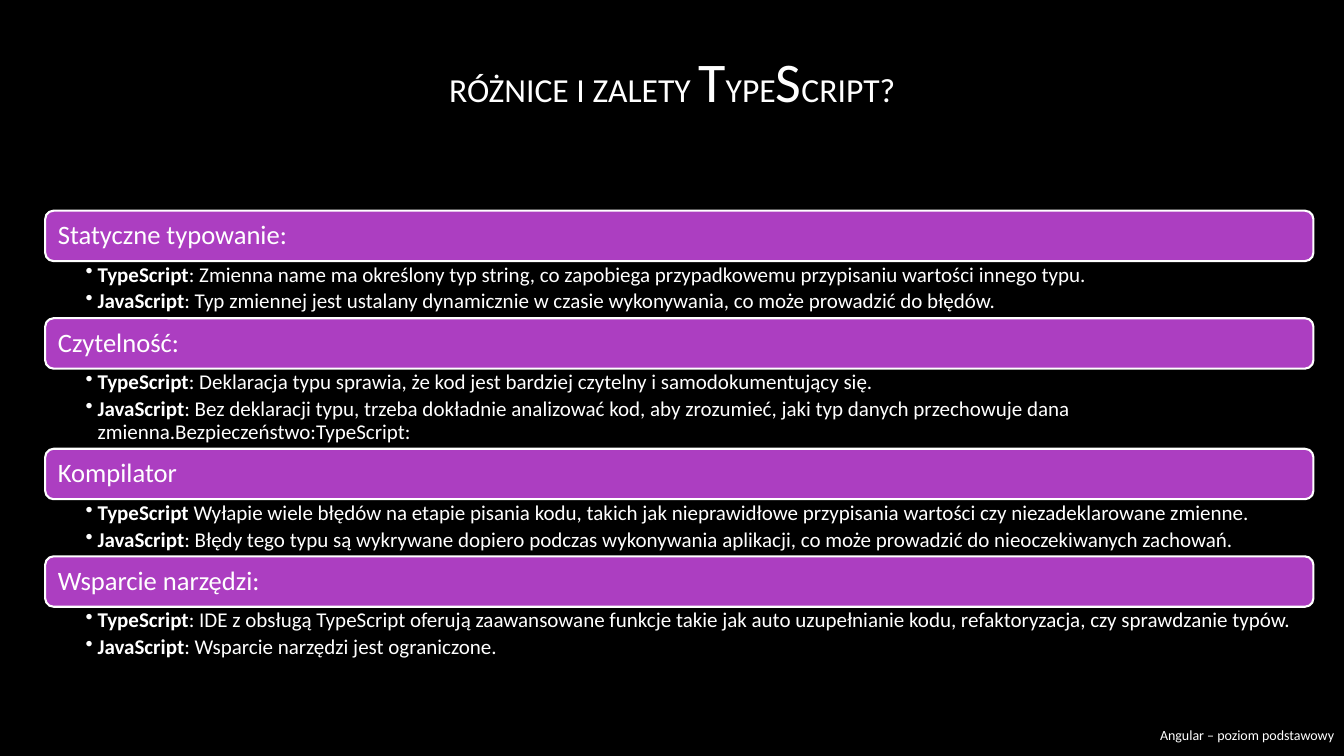
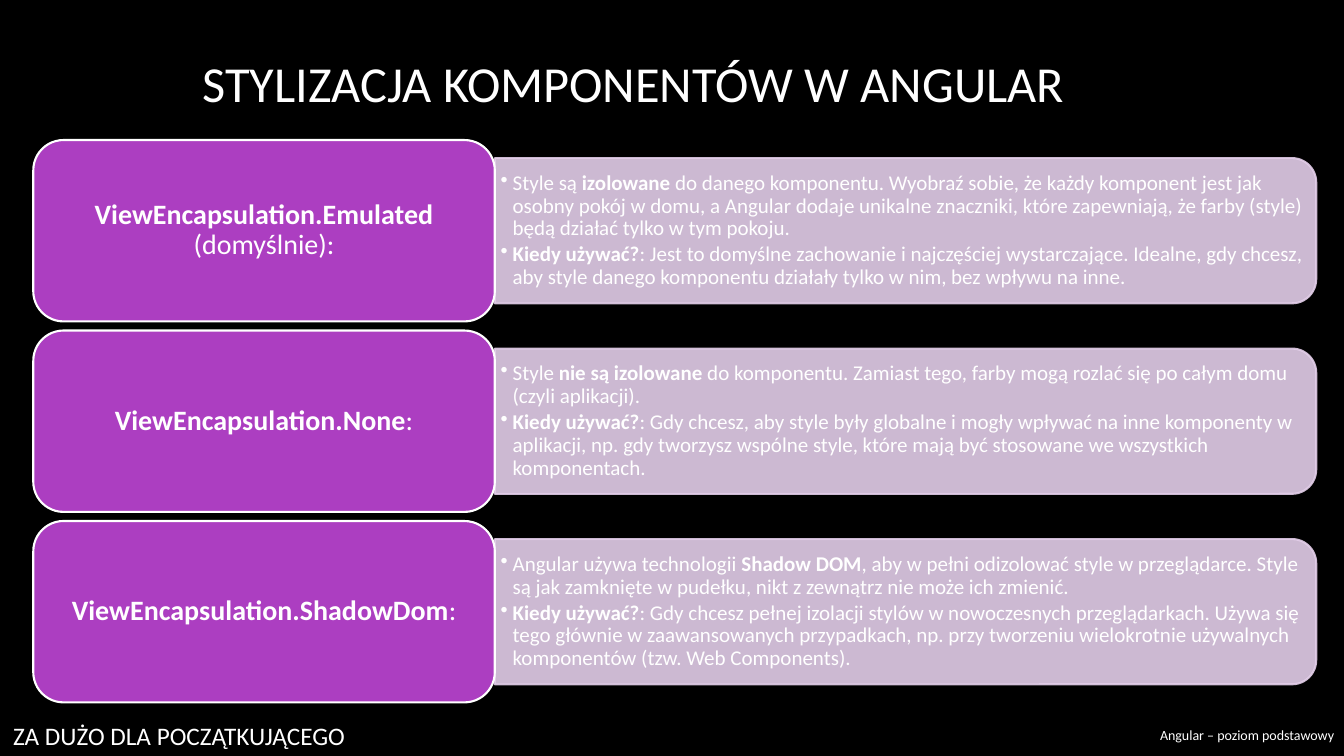
from pptx import Presentation
from pptx.dml.color import RGBColor
from pptx.enum.shapes import MSO_SHAPE
from pptx.enum.text import MSO_ANCHOR, MSO_AUTO_SIZE, PP_ALIGN
from pptx.oxml.ns import qn
from pptx.util import Cm, Pt
from lxml.etree import SubElement

COLORS = {"background": "000000", "text": "FFFFFF", "accent": "AC3EC1", "panel": "E3CEE9"}
FONT = "Calibri"
SLIDE_W, SLIDE_H = 33.87, 19.05


def write(shape, lines, size, align=PP_ALIGN.LEFT, anchor=MSO_ANCHOR.MIDDLE,
          insets=(0.25, 0.13, 0.25, 0.13), spacing=1.0, bullet_gap=None):
    """Fill a shape with paragraphs; text between ** marks is bold."""
    frame = shape.text_frame
    frame.word_wrap = True
    frame.auto_size = MSO_AUTO_SIZE.NONE
    frame.vertical_anchor = anchor
    frame.margin_left, frame.margin_top, frame.margin_right, frame.margin_bottom = map(Cm, insets)
    for number, line in enumerate(lines):
        paragraph = frame.add_paragraph() if number else frame.paragraphs[0]
        paragraph.alignment = align
        paragraph.line_spacing = spacing
        if bullet_gap is not None:
            paragraph.space_after = Pt(bullet_gap)
            props = paragraph._p.get_or_add_pPr()
            props.set("marL", str(Cm(0.3)))
            props.set("indent", str(-Cm(0.3)))
            SubElement(props, qn("a:buChar")).set("char", "•")
        for part, text in enumerate(line.split("**")):
            if text:
                run = paragraph.add_run()
                run.text = text
                run.font.name = FONT
                run.font.size = Pt(size)
                run.font.bold = part % 2 == 1
                run.font.color.rgb = RGBColor.from_string(COLORS["text"])


def add_block(slide, kind, box, fill, line, opacity=None):
    block = slide.shapes.add_shape(kind, *map(Cm, box))
    block.shadow.inherit = False
    block.fill.solid()
    block.fill.fore_color.rgb = RGBColor.from_string(COLORS[fill])
    block.line.color.rgb = RGBColor.from_string(COLORS[line])
    block.line.width = Pt(1.5)
    if opacity:
        for color in block._element.spPr.iter(qn("a:srgbClr")):
            SubElement(color, qn("a:alpha")).set("val", str(opacity * 1000))
    return block


prs = Presentation()
prs.slide_width, prs.slide_height = Cm(SLIDE_W), Cm(SLIDE_H)
master_fill = prs.slide_master.background.fill
master_fill.solid()
master_fill.fore_color.rgb = RGBColor.from_string(COLORS["background"])

# Titles and footers of both slides
titles = [
    ("RÓŻNICE I ZALETY **T**YPE**S**CRIPT?", 24, 2.87, 0),
    ("STYLIZACJA KOMPONENTÓW W ANGULAR", 36, 1.9, 0.05),
]
slides = []
for text, size, left, top in titles:
    slide = prs.slides.add_slide(prs.slide_layouts[5])
    title = slide.shapes.title
    title.left, title.top, title.width, title.height = map(Cm, (left, top, 28.14, 4.04))
    write(title, [text], size, PP_ALIGN.CENTER)
    footer = slide.shapes.add_textbox(*map(Cm, (SLIDE_W - 5, SLIDE_H - 1.04, 5, 1.04)))
    write(footer, ["Angular – poziom podstawowy"], 10, PP_ALIGN.RIGHT)
    slides.append(slide)
differences, styling = slides

# Large initials in the first title
for initial in differences.shapes.title.text_frame.paragraphs[0].runs[1::2]:
    initial.font.size = Pt(40)
    initial.font.bold = False

# Slide 1: headings, each with its comparison below
topics = [
    ("Statyczne typowanie:", 1.44, [
        "**TypeScript**: Zmienna name ma określony typ string, co zapobiega przypadkowemu przypisaniu wartości innego typu.",
        "**JavaScript**: Typ zmiennej jest ustalany dynamicznie w czasie wykonywania, co może prowadzić do błędów."]),
    ("Czytelność:", 2.02, [
        "**TypeScript**: Deklaracja typu sprawia, że kod jest bardziej czytelny i samodokumentujący się.",
        "**JavaScript**: Bez deklaracji typu, trzeba dokładnie analizować kod, aby zrozumieć, jaki typ danych "
        "przechowuje dana zmienna.Bezpieczeństwo:TypeScript:"]),
    ("Kompilator", 1.44, [
        "**TypeScript** Wyłapie wiele błędów na etapie pisania kodu, takich jak nieprawidłowe przypisania wartości "
        "czy niezadeklarowane zmienne.",
        "**JavaScript**: Błędy tego typu są wykrywane dopiero podczas wykonywania aplikacji, co może prowadzić do "
        "nieoczekiwanych zachowań."]),
    ("Wsparcie narzędzi:", 1.44, [
        "**TypeScript**: IDE z obsługą TypeScript oferują zaawansowane funkcje takie jak auto uzupełnianie kodu, "
        "refaktoryzacja, czy sprawdzanie typów.",
        "**JavaScript**: Wsparcie narzędzi jest ograniczone."]),
]
TOPIC_LEFT, TOPIC_W, HEADING_H = 1.14, 31.96, 1.27
top = 5.31
for heading_text, details_h, points in topics:
    heading = add_block(differences, MSO_SHAPE.ROUNDED_RECTANGLE,
                        (TOPIC_LEFT, top, TOPIC_W, HEADING_H), "accent", "text")
    write(heading, [heading_text], 19, insets=(0.26, 0.2, 0.26, 0.2), spacing=0.9)
    top += HEADING_H
    details = differences.shapes.add_textbox(*map(Cm, (TOPIC_LEFT, top, TOPIC_W, details_h)))
    write(details, points, 15, anchor=MSO_ANCHOR.TOP,
          insets=(1.02, 0.07, 0.38, 0.07), spacing=0.9, bullet_gap=3)
    top += details_h

# Slide 2: encapsulation modes with their descriptions
modes = [
    ("**ViewEncapsulation.Emulated** (domyślnie):", [
        "Style są **izolowane** do danego komponentu. Wyobraź sobie, że każdy komponent jest jak osobny pokój w domu, "
        "a Angular dodaje unikalne znaczniki, które zapewniają, że farby (style) będą działać tylko w tym pokoju.",
        "**Kiedy używać?**: Jest to domyślne zachowanie i najczęściej wystarczające. Idealne, gdy chcesz, aby style "
        "danego komponentu działały tylko w nim, bez wpływu na inne."]),
    ("**ViewEncapsulation.None**:", [
        "Style **nie są izolowane** do komponentu. Zamiast tego, farby mogą rozlać się po całym domu (czyli aplikacji).",
        "**Kiedy używać?**: Gdy chcesz, aby style były globalne i mogły wpływać na inne komponenty w aplikacji, np. gdy "
        "tworzysz wspólne style, które mają być stosowane we wszystkich komponentach."]),
    ("**ViewEncapsulation.ShadowDom**:", [
        "Angular używa technologii **Shadow DOM**, aby w pełni odizolować style w przeglądarce. Style są jak zamknięte "
        "w pudełku, nikt z zewnątrz nie może ich zmienić.",
        "**Kiedy używać?**: Gdy chcesz pełnej izolacji stylów w nowoczesnych przeglądarkach. Używa się tego głównie w "
        "zaawansowanych przypadkach, np. przy tworzeniu wielokrotnie używalnych komponentów (tzw. Web Components)."]),
]
CARD_LEFT, CARD_TOP, CARD_W, CARD_H, CARD_STEP = 0.84, 3.53, 11.63, 4.57, 4.8
PANEL_W, PANEL_H = 20.7, 3.66
USAGE_W, USAGE_H = 20.52, 3.3
panel_left = CARD_LEFT + CARD_W
for row, (mode_text, points) in enumerate(modes):
    top = CARD_TOP + row * CARD_STEP
    middle = top + CARD_H / 2
    # A quarter turn swaps the panel's width and height around its centre
    panel = add_block(styling, MSO_SHAPE.ROUND_2_SAME_RECTANGLE,
                      (panel_left + (PANEL_W - PANEL_H) / 2, middle - PANEL_W / 2, PANEL_H, PANEL_W),
                      "panel", "panel", opacity=90)
    panel.rotation = 90
    usage = styling.shapes.add_textbox(*map(Cm, (panel_left, middle - USAGE_H / 2, USAGE_W, USAGE_H)))
    write(usage, points, 15, insets=(0.15, 0.07, 0.15, 0.07), spacing=0.9, bullet_gap=2.4)
    mode = add_block(styling, MSO_SHAPE.ROUNDED_RECTANGLE,
                     (CARD_LEFT, top, CARD_W, CARD_H), "accent", "text")
    write(mode, [mode_text], 20, PP_ALIGN.CENTER, insets=(0.4, 0.3, 0.4, 0.3), spacing=0.9)

# Remark at the bottom left
remark = styling.shapes.add_textbox(*map(Cm, (0.08, 18.03, 16.94, 1.02)))
write(remark, ["ZA DUŻO DLA POCZĄTKUJĄCEGO"], 18, anchor=MSO_ANCHOR.TOP)

prs.save("out.pptx")
